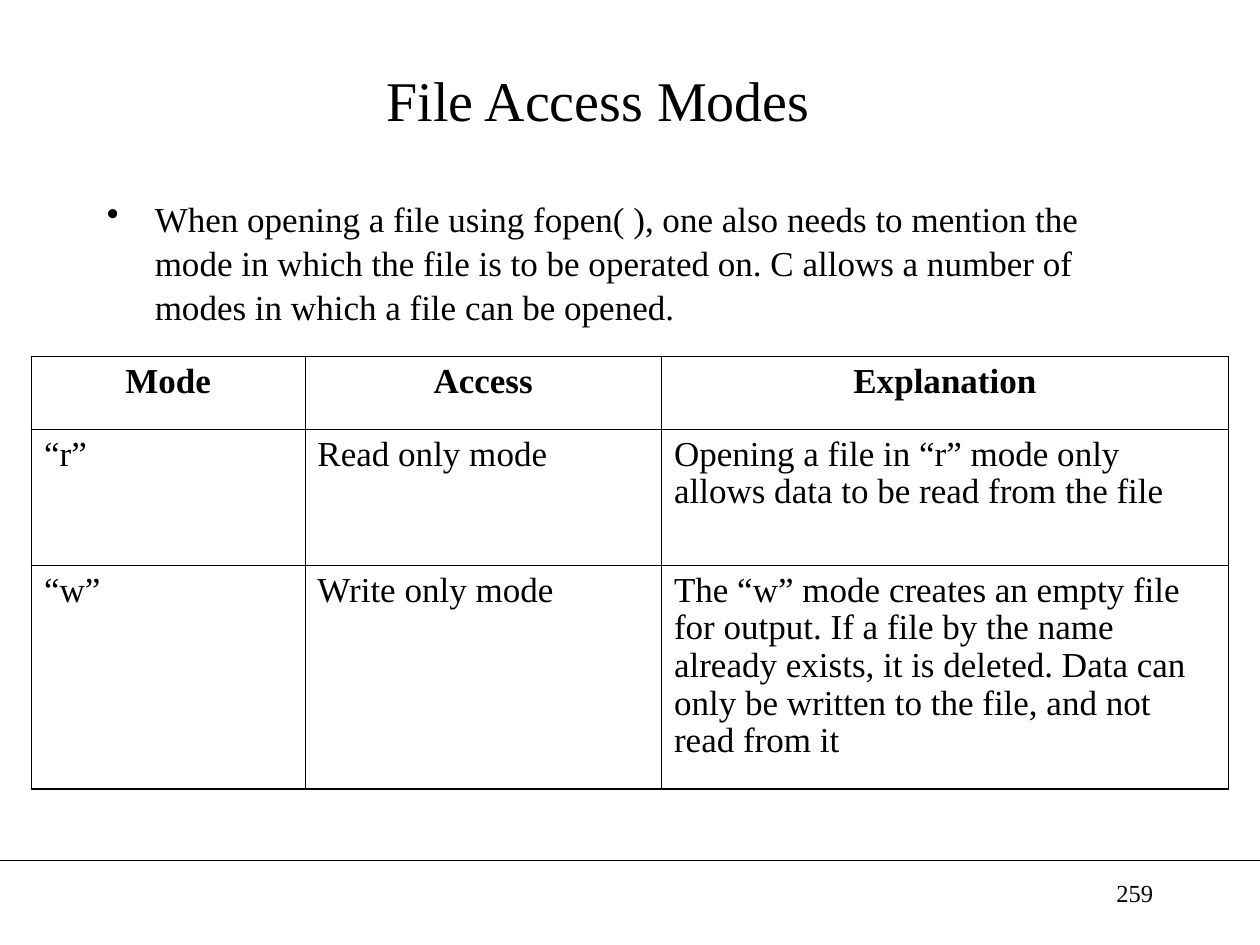
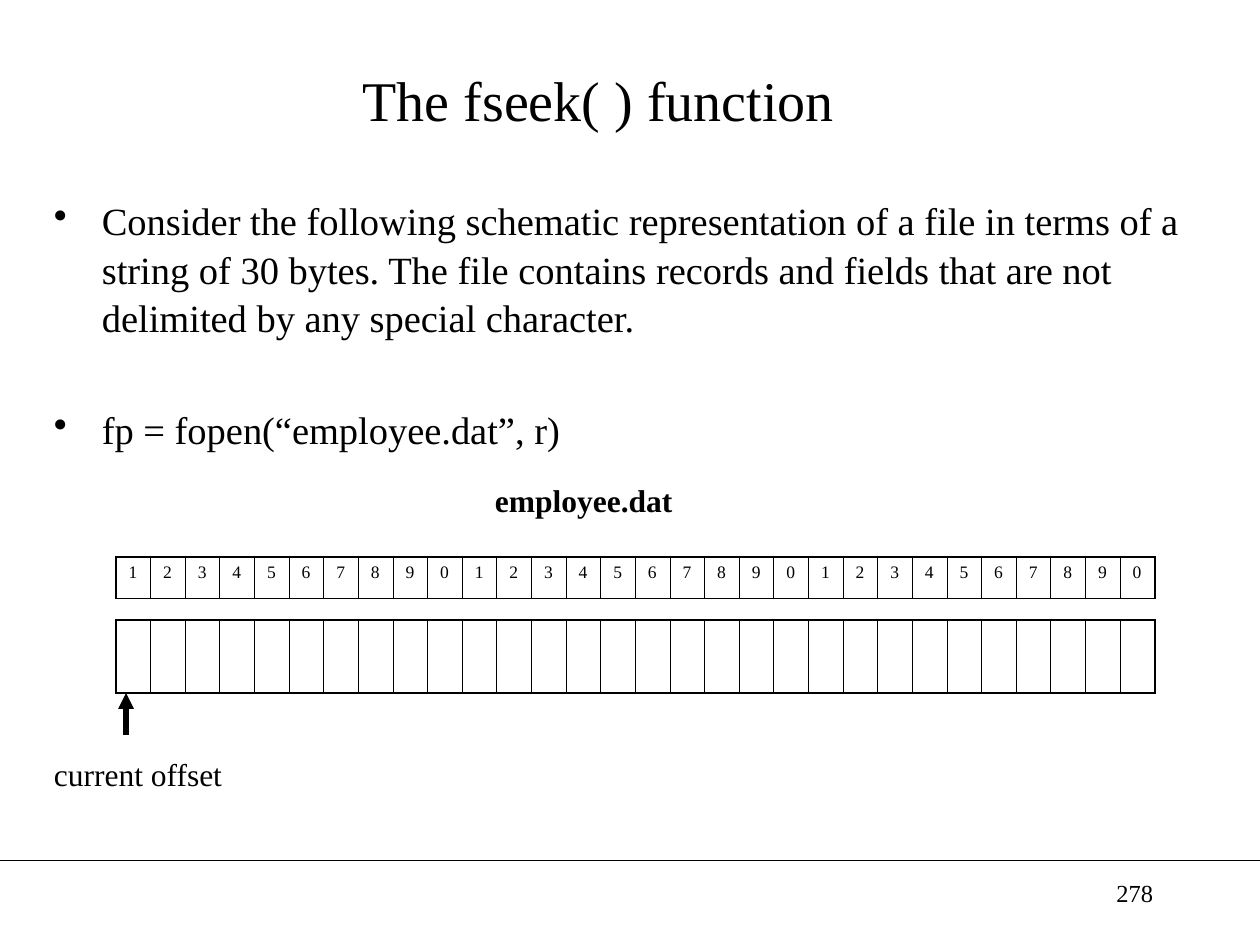
from dataclasses import dataclass

from lxml import etree
from pptx import Presentation
from pptx.dml.color import RGBColor
from pptx.enum import shapes, text
from pptx.oxml import ns
from pptx.util import Inches, Pt


@dataclass(frozen=True)
class Theme:
    font: str = "Times New Roman"
    ink: RGBColor = RGBColor(0, 0, 0)
    title_size: float = 32
    body_size: float = 20
    label_size: float = 18
    page_size: float = 14
    byte_size: float = 10
    line_spacing: float = 1.05
    cell_spacing: float = 0.97
    rule_width: float = 0.75
    outer_border: float = 1.08
    inner_border: float = 0.45
    bullet_indent: float = 0.38


class Deck:
    """Holds the theme and the slide that is being filled."""

    def __init__(self, theme):
        self.theme = theme
        self.presentation = Presentation()
        self.presentation.slide_width = Inches(10)
        self.presentation.slide_height = Inches(7.5)
        self.slide = None

    def add_slide(self, title, page):
        """Start a slide with its title, footer rule and page number."""
        blank = self.presentation.slide_layouts[6]
        self.slide = self.presentation.slides.add_slide(blank)
        self.line((0, 6.83), (10, 6.83), self.theme.rule_width)
        self.text_box(title, (0.5, 0.25, 8.5, 1.08), self.theme.title_size,
                      align=text.PP_ALIGN.CENTER, anchor=text.MSO_ANCHOR.MIDDLE)
        self.text_box(page, (7.17, 6.92, 2.08, 0.5), self.theme.page_size,
                      align=text.PP_ALIGN.RIGHT)

    def set_font(self, paragraph, size, bold=False):
        font = paragraph.font
        font.name, font.size, font.bold = self.theme.font, Pt(size), bold
        font.color.rgb = self.theme.ink

    def empty_box(self, area):
        frame = self.slide.shapes.add_textbox(*map(Inches, area)).text_frame
        frame.word_wrap = True
        return frame

    def text_box(self, words, area, size, bold=False,
                 align=text.PP_ALIGN.LEFT, anchor=text.MSO_ANCHOR.TOP):
        frame = self.empty_box(area)
        frame.vertical_anchor = anchor
        paragraph = frame.paragraphs[0]
        paragraph.text = words
        paragraph.alignment = align
        self.set_font(paragraph, size, bold)

    def bullets(self, items, area, size, gap=0):
        """Write one bulleted paragraph per item, gap points apart."""
        frame = self.empty_box(area)
        indent = Inches(self.theme.bullet_indent)
        for number, item in enumerate(items):
            paragraph = frame.add_paragraph() if number else frame.paragraphs[0]
            paragraph.text = item
            paragraph.line_spacing = self.theme.line_spacing
            if number:
                paragraph.space_before = Pt(gap)
            properties = paragraph._p.get_or_add_pPr()
            properties.set("marL", str(indent))
            properties.set("indent", str(-indent))
            etree.SubElement(properties, ns.qn("a:buChar"), char="•")
            self.set_font(paragraph, size)

    def line(self, start, end, width, arrow=False):
        connector = self.slide.shapes.add_connector(
            shapes.MSO_CONNECTOR.STRAIGHT, *map(Inches, start + end))
        connector.line.color.rgb = self.theme.ink
        connector.line.width = Pt(width)
        if arrow:
            etree.SubElement(connector.line._get_or_add_ln(),
                             ns.qn("a:tailEnd"), type="triangle")
        etree.SubElement(connector._element.spPr, ns.qn("a:effectLst"))

    def border(self, cell, outer_sides):
        """Rule all four sides, heavier on the table's outer edge."""
        properties = cell._tc.get_or_add_tcPr()
        for position, side in enumerate("LRTB"):
            width = (self.theme.outer_border if side in outer_sides
                     else self.theme.inner_border)
            rule = etree.Element(ns.qn(f"a:ln{side}"), w=str(Pt(width)))
            fill = etree.SubElement(rule, ns.qn("a:solidFill"))
            etree.SubElement(fill, ns.qn("a:srgbClr"), val=str(self.theme.ink))
            properties.insert(position, rule)

    def table(self, rows, left, top, widths, heights, size, header=False):
        frame = self.slide.shapes.add_table(
            len(rows), len(widths), Inches(left), Inches(top),
            Inches(sum(widths)), Inches(sum(heights)))
        table = frame.table
        table.first_row = table.horz_banding = False
        for column, width in zip(table.columns, widths):
            column.width = Inches(width)
        for row, height in zip(table.rows, heights):
            row.height = Inches(height)
        last_row, last_column = len(rows) - 1, len(widths) - 1
        for r, values in enumerate(rows):
            for c, value in enumerate(values):
                cell = table.cell(r, c)
                cell.fill.background()
                edges = {"L": c == 0, "R": c == last_column,
                         "T": r == 0, "B": r == last_row}
                self.border(cell, [side for side, outer in edges.items() if outer])
                paragraph = cell.text_frame.paragraphs[0]
                if value:
                    paragraph.text = value
                paragraph.line_spacing = self.theme.cell_spacing
                is_heading = header and r == 0
                if is_heading:
                    paragraph.alignment = text.PP_ALIGN.CENTER
                self.set_font(paragraph, size, is_heading)


def access_modes_slide(deck):
    size = deck.theme.body_size
    deck.add_slide("File Access Modes", "259")
    deck.bullets(
        ["When opening a file using fopen( ), one also needs to mention the mode "
         "in which the file is to be operated on. C allows a number of modes in "
         "which a file can be opened."],
        (0.75, 1.5, 8.25, 1.17), size)
    modes = [
        ("Mode", "Access", "Explanation"),
        ("“r”", "Read only mode",
         "Opening a file in “r” mode only allows data to be read from the file"),
        ("“w”", "Write only mode",
         "The “w” mode creates an empty file for output. If a file by the name "
         "already exists, it is deleted. Data can only be written to the file, "
         "and not read from it"),
    ]
    deck.table(modes, 0.25, 2.83, (2.17, 2.83, 4.5), (0.58, 1.08, 1.77),
               size, header=True)


def fseek_slide(deck):
    theme = deck.theme
    deck.add_slide("The fseek( ) function", "278")
    deck.bullets(
        ["Consider the following schematic representation of a file in terms of "
         "a string of 30 bytes. The file contains records and fields that are "
         "not delimited by any special character.",
         "fp = fopen(“employee.dat”, r)"],
        (0.33, 1.5, 9.25, 3), theme.body_size + 2, gap=36)

    byte_count = 30
    byte_widths = [8.25 / byte_count] * byte_count
    positions = [str(number % 10) for number in range(1, byte_count + 1)]
    empty_bytes = [""] * byte_count
    for values, top, height in ((empty_bytes, 4.92, 0.58), (positions, 4.42, 0.33)):
        deck.table([values], 0.92, top, byte_widths, [height], theme.byte_size)

    deck.line((1, 5.83), (1, 5.5), 3, arrow=True)
    deck.text_box("current offset", (0.33, 5.94, 1.75, 0.4), theme.label_size)
    deck.text_box("employee.dat", (3.83, 3.77, 1.75, 0.4), theme.label_size, bold=True)


def main():
    deck = Deck(Theme())
    access_modes_slide(deck)
    fseek_slide(deck)
    deck.presentation.save("out.pptx")


if __name__ == "__main__":
    main()
